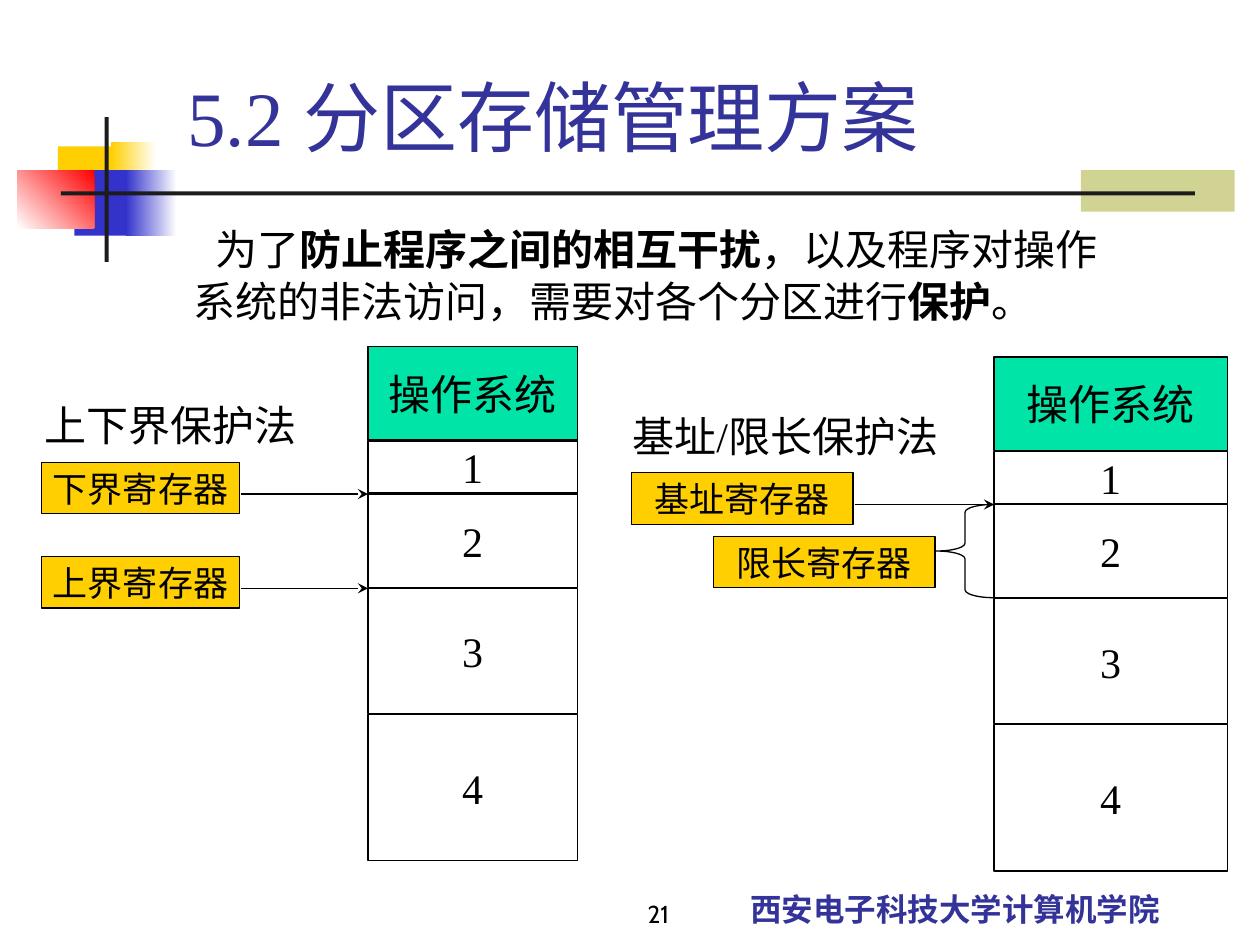
import itertools

import pptx
import pptx.dml.color
import pptx.enum.shapes
import pptx.enum.text
import pptx.oxml
import pptx.oxml.ns
import pptx.util
from pptx.util import Cm

KIND = pptx.enum.shapes.MSO_SHAPE
ALIGN = pptx.enum.text.PP_ALIGN
ANCHOR = pptx.enum.text.MSO_ANCHOR

BLACK, WHITE, DARK = "000000", "FFFFFF", "1C1C1C"
GOLD, BLUE, RED, GREEN = "FFCF01", "3333CC", "FF0000", "00E4A8"
NAVY, OLIVE = "333399", "D1D393"
SERIF = "Times New Roman"
ROWS = [("操作系统", 1.9), ("1", 1.07), ("2", 1.9), ("3", 2.54), ("4", 2.97)]
GAP = 0.02


def color(code):
    return pptx.dml.color.RGBColor.from_string(code)


def write(frame, *runs, size=24, font=SERIF, ink=BLACK, align=ALIGN.LEFT,
          anchor=ANCHOR.TOP, wrap=True, lead=None, left=0, first=0):
    """Fill a frame with one paragraph; each run is (text, bold[, size])."""
    frame.word_wrap = wrap
    frame.vertical_anchor = anchor
    para = frame.paragraphs[0]
    para.alignment = align
    para.line_spacing = lead
    if left:
        props = para._p.get_or_add_pPr()
        props.set("marL", str(Cm(left)))
        props.set("indent", str(Cm(first)))
    for text, bold, *own in runs:
        run = para.add_run()
        run.text = text
        run.font.bold = bold
        run.font.name = font
        run.font.size = pptx.util.Pt(own[0] if own else size)
        run.font.color.rgb = color(ink)


def label(slide, x, y, w, h, *runs, **form):
    box = slide.shapes.add_textbox(Cm(x), Cm(y), Cm(w), Cm(h))
    write(box.text_frame, *runs, **form)


def shape(slide, x, y, w, h, fill=None, line=None, kind=KIND.RECTANGLE):
    item = slide.shapes.add_shape(kind, Cm(x), Cm(y), Cm(w), Cm(h))
    item.shadow.inherit = False
    if fill:
        item.fill.solid()
        item.fill.fore_color.rgb = color(fill)
    else:
        item.fill.background()
    if line:
        item.line.color.rgb = color(line)
        item.line.width = pptx.util.Pt(0.75)
    else:
        item.line.fill.background()
    return item


def fade(slide, x, y, w, h, start, end, angle):
    item = shape(slide, x, y, w, h, start)
    item.fill.gradient()
    item.fill.gradient_angle = angle
    for stop, code in zip(item.fill.gradient_stops, (start, end)):
        stop.color.rgb = color(code)


def cell(slide, x, y, w, h, text, fill, size=24):
    """Draw an outlined box with centred text."""
    item = shape(slide, x, y, w, h, fill, BLACK)
    write(item.text_frame, (text, False), size=size, align=ALIGN.CENTER,
          anchor=ANCHOR.MIDDLE, wrap=False)


def arrow(slide, x, y, end):
    link = slide.shapes.add_connector(
        pptx.enum.shapes.MSO_CONNECTOR.STRAIGHT, Cm(x), Cm(y), Cm(end), Cm(y))
    link.line.color.rgb = color(BLACK)
    link.line.width = pptx.util.Pt(0.75)
    space = pptx.oxml.ns.nsdecls("a")
    link.line._get_or_add_ln().append(
        pptx.oxml.parse_xml(f'<a:tailEnd {space} type="stealth"/>'))
    link._element.spPr.append(pptx.oxml.parse_xml(f"<a:effectLst {space}/>"))


def memory(slide, x, y, w):
    """Stack the partitions and return the top of each."""
    steps = [step for _, step in ROWS]
    tops = list(itertools.accumulate(steps[:-1], initial=y))
    for (text, step), top in zip(ROWS, tops):
        fill = GREEN if top == y else WHITE
        cell(slide, x, top, w, step - GAP, text, fill)
    return tops


def register(slide, x, y, w, text):
    cell(slide, x, y, w, 1.04, text, GOLD, size=20)


def pointer(slide, x, y, w, text, end):
    """Draw a register with an arrow to a partition edge."""
    register(slide, x, y - 0.64, w, text)
    arrow(slide, x + w + 0.03, y, end)


def decor(slide):
    shape(slide, 21.79, 3.43, 3.1, 0.84, OLIVE)
    shape(slide, 1.17, 2.95, 1.22, 1.32, GOLD)
    fade(slide, 2.24, 2.87, 0.91, 1.32, WHITE, GOLD, 180)
    shape(slide, 1.5, 3.43, 1.17, 1.32, BLUE)
    fade(slide, 2.54, 3.43, 1.02, 1.32, WHITE, BLUE, 180)
    fade(slide, 0.35, 3.43, 1.55, 1.17, RED, WHITE, 225)
    shape(slide, 2.11, 2.36, 0.08, 2.92, DARK)
    shape(slide, 1.23, 3.86, 22.86, 0.08, DARK)
    label(slide, 13.54, 17.35, 11.43, 1.47,
          ("西安电子科技大学计算机学院", True), size=18,
          font="Noto Sans CJK SC", ink=NAVY, align=ALIGN.CENTER,
          anchor=ANCHOR.BOTTOM)
    label(slide, 8.46, 17.58, 5.28, 1.27, ("21", False), size=14,
          font="Cabin", align=ALIGN.RIGHT, anchor=ANCHOR.BOTTOM)


def bounds(slide):
    """Show protection by lower and upper bounds."""
    x = 7.42
    tops = memory(slide, x, 6.99, 4.22)
    label(slide, 0.64, 8.05, 6.12, 1.04, ("上下界保护法", False), lead=0.9)
    for text, top in zip(("下界寄存器", "上界寄存器"), tops[2:4]):
        pointer(slide, 0.84, top, 3.99, text, x)


def limit(slide):
    """Show protection by base and length."""
    x = 20.04
    tops = memory(slide, x, 7.2, 4.7)
    label(slide, 12.5, 8.26, 7.77, 1.04, ("基址/限长保护法", False), lead=0.9)
    pointer(slide, 12.73, tops[2], 4.47, "基址寄存器", x)
    register(slide, 14.38, tops[2] + 0.64, 4.47, "限长寄存器")
    brace = shape(slide, 18.87, tops[2], 1.17, tops[3] - tops[2] - GAP,
                  line=BLACK, kind=KIND.LEFT_BRACE)
    brace.adjustments[0] = 0.135
    brace.adjustments[1] = 0.5


def main():
    deck = pptx.Presentation()
    deck.slide_width, deck.slide_height = Cm(25.4), Cm(19.05)
    slide = deck.slides.add_slide(deck.slide_layouts[6])
    decor(slide)
    label(slide, 3.53, 1.27, 21.64, 2.11, ("5.2 分区存储管理方案", False),
          size=44, ink=NAVY, anchor=ANCHOR.BOTTOM)
    label(slide, 2.69, 4.24, 19.94, 2.74, (" ", False, 28), ("为了", False),
          ("防止程序之间的相互干扰", True),
          ("，以及程序对操作系统的非法访问，需要对各个分区进行", False),
          ("保护", True), ("。", False), left=0.97, first=0.22)
    bounds(slide)
    limit(slide)
    deck.save("out.pptx")


if __name__ == "__main__":
    main()
